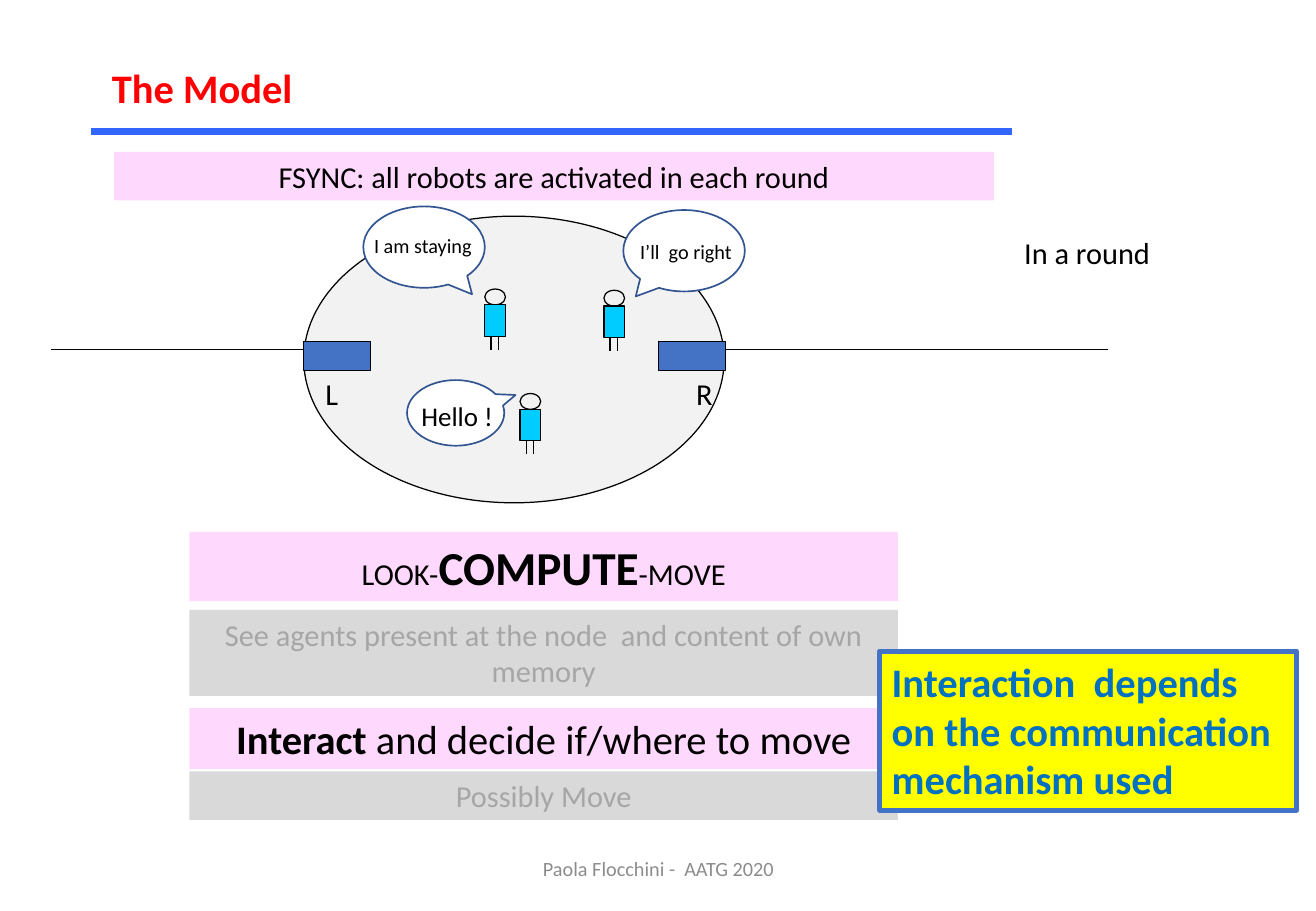
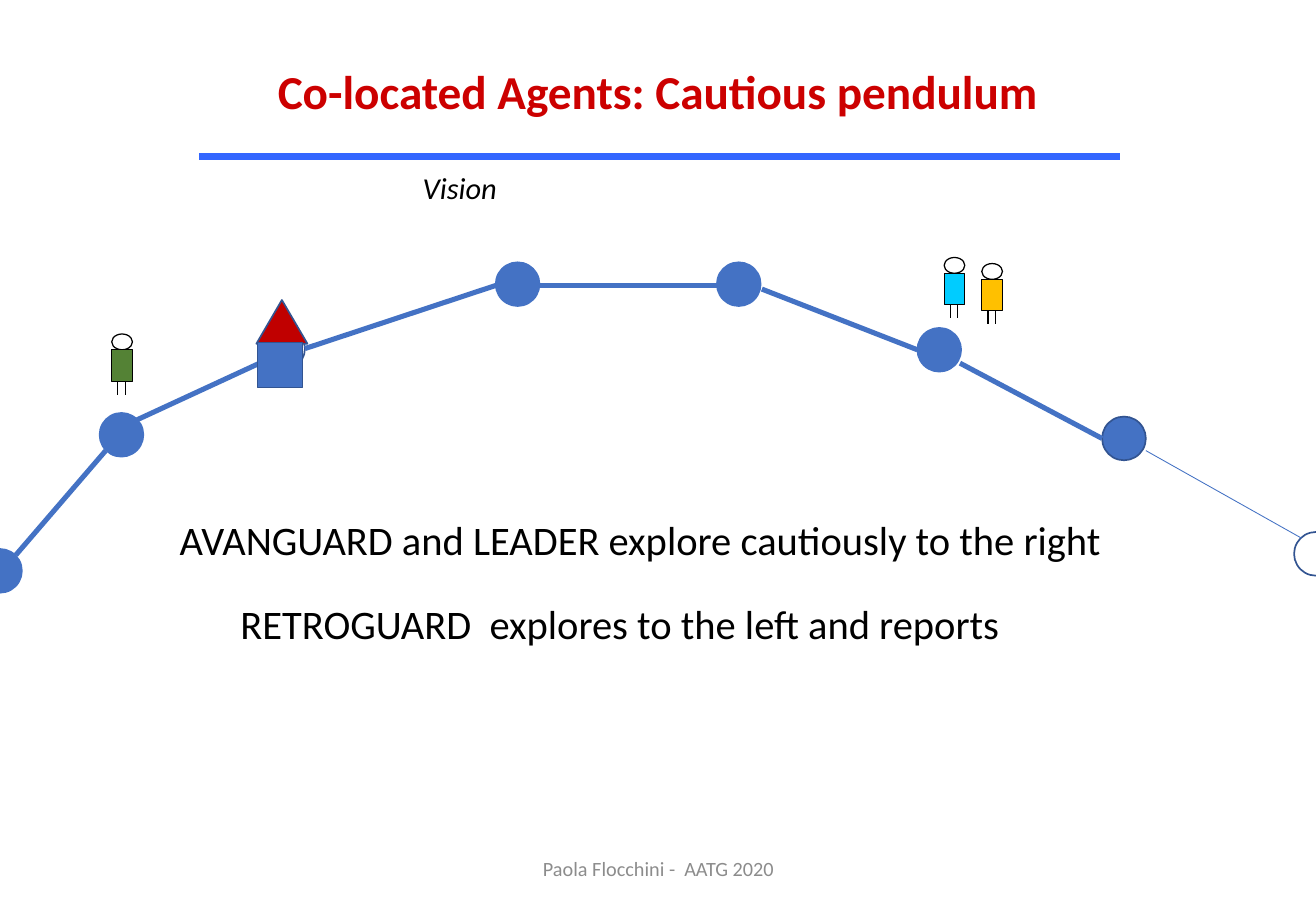
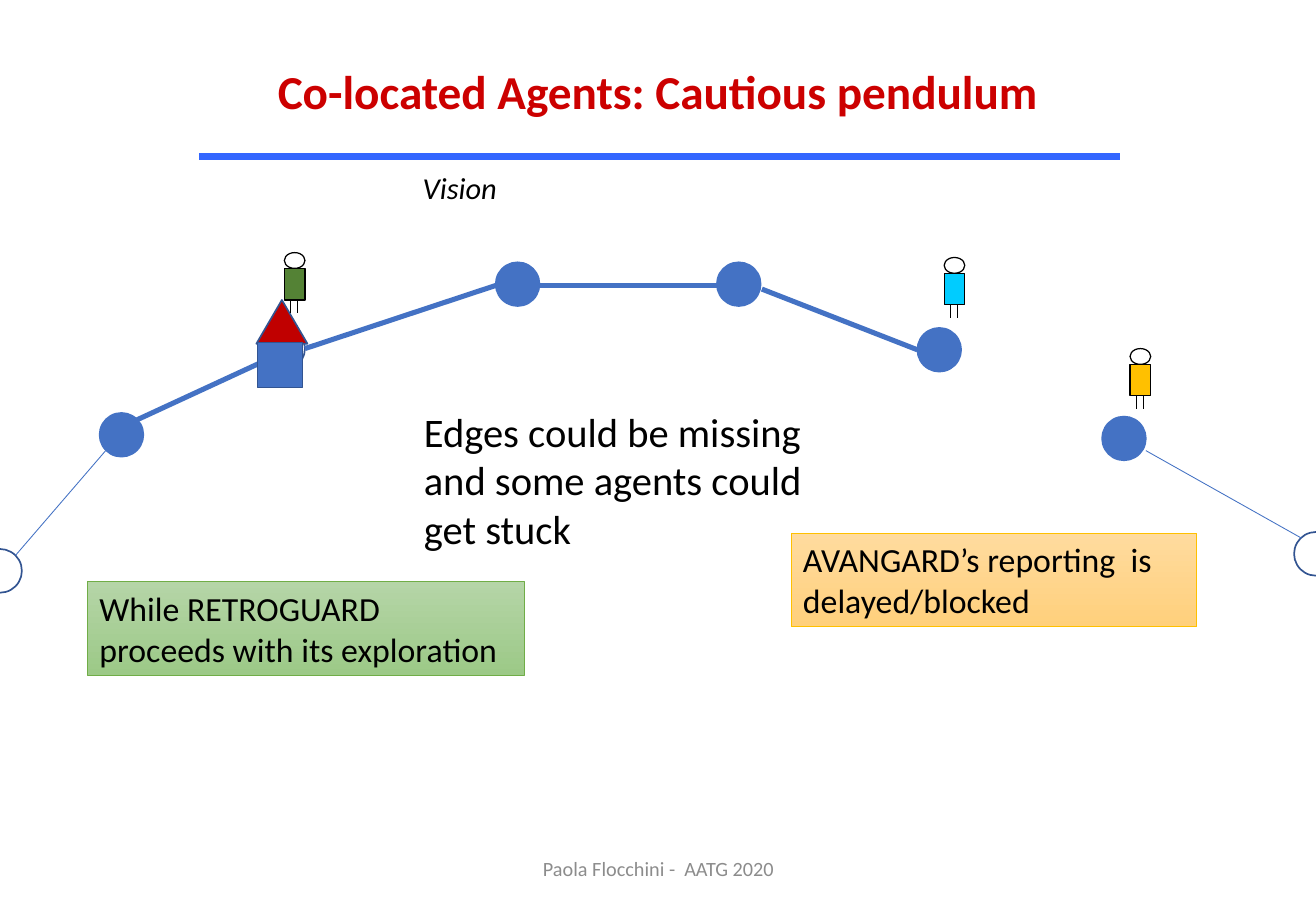
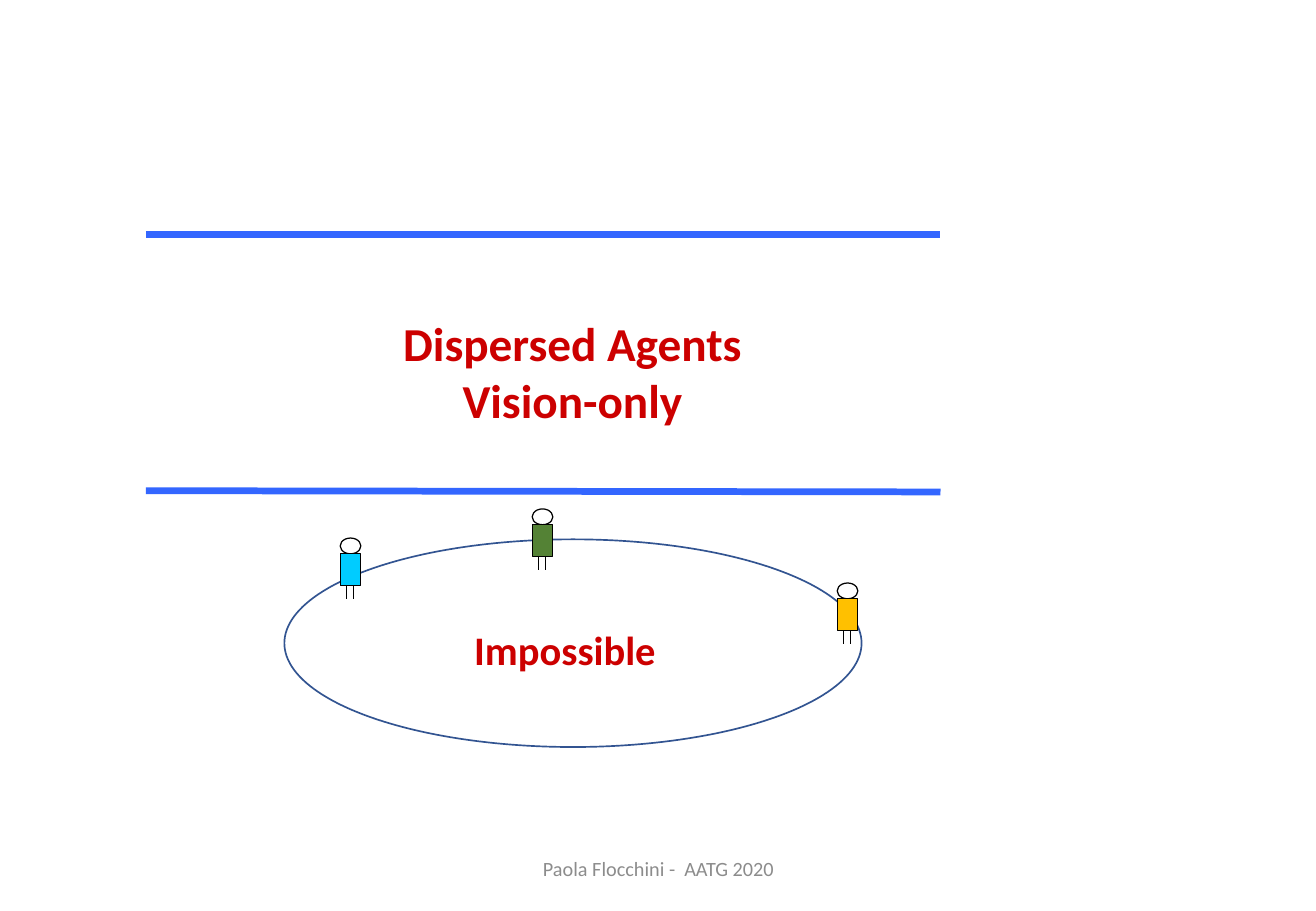
from copy import deepcopy
from lxml import etree
from pptx import Presentation
from pptx import util as u
from pptx.dml.color import RGBColor
from pptx.enum import shapes as s, text as t
from pptx.oxml.ns import qn

PX = 9144
FONT = "Calibri"
COLORS = {
    "black": "000000", "white": "FFFFFF", "blue": "4472C4", "navy": "325491",
    "rule": "3366FF", "red": "FF0000", "crimson": "CC0000", "roof": "C00000",
    "pink": "FFD8FE", "silver": "D9D9D9", "dim": "A6A6A6", "footer": "8C8C8C",
    "pale": "F2F2F2", "yellow": "FFFF00", "ocean": "0070C0", "cyan": "00CCFF",
    "green": "548235", "amber": "FFC000", "leaf": "70AD47",
    "peach": "FFDB9E", "apricot": "FFD07C", "mint": "B5D5A7", "moss": "9CC987",
}
RGB = {name: RGBColor.from_string(value) for name, value in COLORS.items()}
KIND = s.MSO_SHAPE
LEFT, CENTER = t.PP_ALIGN.LEFT, t.PP_ALIGN.CENTER


def block(parent, kind, box, fill=None, edge=None, width=1, words="", size=18,
          color="black", align=LEFT, bold=False, italic=False, wrap=True):
    place = [u.Emu(v * PX) for v in box]
    if kind is None:
        item = parent.add_textbox(*place)
    else:
        item = parent.add_shape(kind, *place)
        item.shadow.inherit = False
    if isinstance(fill, tuple):
        item.fill.gradient()
        item.fill.gradient_angle = 270
        for stop, shade in zip(item.fill.gradient_stops, fill):
            stop.color.rgb = RGB[shade]
    elif fill:
        item.fill.solid()
        item.fill.fore_color.rgb = RGB[fill]
    else:
        item.fill.background()
    if edge:
        item.line.color.rgb = RGB[edge]
        item.line.width = u.Pt(width)
    else:
        item.line.fill.background()
    if words:
        frame = item.text_frame
        frame.text = words
        frame.word_wrap = wrap
        frame.vertical_anchor = t.MSO_ANCHOR.TOP
        for paragraph in frame.paragraphs:
            paragraph.alignment = align
            paragraph.font.name = FONT
            paragraph.font.size = u.Pt(size)
            paragraph.font.bold = bold
            paragraph.font.italic = italic
            paragraph.font.color.rgb = RGB[color]
    return item


def stroke(parent, ends, color="black", width=0.75):
    item = parent.add_connector(s.MSO_CONNECTOR.STRAIGHT, *[u.Emu(v * PX) for v in ends])
    item.line.color.rgb = RGB[color]
    item.line.width = u.Pt(width)
    etree.SubElement(item._element.spPr, qn("a:effectLst"))


prs = Presentation()
prs.slide_width, prs.slide_height = u.Emu(1083 * PX), u.Emu(750 * PX)
layout = prs.slide_layouts[5]

footer = next(p for p in layout.placeholders
              if p.placeholder_format.type == s.PP_PLACEHOLDER.FOOTER)
footer.left, footer.top, footer.width, footer.height = [u.Emu(v * PX) for v in (359, 695, 366, 40)]
footer.text_frame.text = "Paola Flocchini -  AATG 2020"
footer.text_frame.vertical_anchor = t.MSO_ANCHOR.MIDDLE
credit = footer.text_frame.paragraphs[0]
credit.alignment = CENTER
credit.font.name = FONT
credit.font.size = u.Pt(12)
credit.font.color.rgb = RGB["footer"]

pendulum = ("Co-located Agents: Cautious pendulum", (214, 46, 654, 57), 28, "crimson", CENTER,
            [(164, 129, 922, 129)])
headings = [
    ("The Model", (82, 47, 170, 50), 24, "red", LEFT, [(75, 108, 833, 108)]),
    pendulum,
    pendulum,
    ("Dispersed Agents\nVision-only", (144, 254, 654, 104), 28, "crimson", CENTER,
     [(120, 193, 774, 193), (120, 404, 774, 405)]),
]
slides = []
for words, box, size, color, align, rules in headings:
    slide = prs.slides.add_slide(layout)
    title = slide.shapes.title
    title.left, title.top, title.width, title.height = [u.Emu(v * PX) for v in box]
    title.text_frame.text = words
    title.text_frame.auto_size = t.MSO_AUTO_SIZE.NONE
    title.text_frame.word_wrap = align == CENTER
    title.text_frame.vertical_anchor = t.MSO_ANCHOR.TOP
    for paragraph in title.text_frame.paragraphs:
        paragraph.alignment = align
        paragraph.font.name = FONT
        paragraph.font.size = u.Pt(size)
        paragraph.font.bold = True
        paragraph.font.color.rgb = RGB[color]
    slide.shapes._spTree.append(deepcopy(footer._element))
    for ends in rules:
        stroke(slide.shapes, ends, "rule", 4)
    slides.append(slide.shapes)
model, cautious, stuck, dispersed = slides

block(model, KIND.RECTANGLE, (94, 125, 724, 40), "pink", align=CENTER,
      words="FSYNC: all robots are activated in each round")
block(model, KIND.OVAL, (250, 178, 346, 236), "pale", "black", 0.75)
for ends in [(305, 288, 42, 288), (912, 288, 589, 288)]:
    stroke(model, ends)
for port_left in (250, 542):
    block(model, KIND.RECTANGLE, (port_left, 281, 55, 24), "blue", "black", 0.75)

steps = [
    (438, 57, "pink", "black", 18, [("LOOK-", 18, False), ("COMPUTE", 28, True), ("-MOVE", 18, False)]),
    (502, 71, "silver", "dim", 18, [("See agents present at the node  and content of own memory", 18, False)]),
    (583, 50, "pink", "black", 24, [("Interact", 24, True), (" and decide if/where to move", 24, False)]),
    (635, 40, "silver", "dim", 18, [("Possibly Move", 18, False)]),
]
for top, height, fill, color, size, parts in steps:
    step = block(model, KIND.RECTANGLE, (156, top, 583, height), fill, words=parts[0][0],
                 size=size, color=color, align=CENTER)
    phrase = step.text_frame.paragraphs[0]
    for words, part_size, bold in parts[1:]:
        phrase.add_run().text = words
    for run, (words, part_size, bold) in zip(phrase.runs, parts):
        if part_size != size:
            run.font.size = u.Pt(part_size)
        if bold:
            run.font.bold = True

block(model, KIND.RECTANGLE, (724, 536, 343, 131), "yellow", "blue", 3, size=24, color="ocean",
      bold=True, wrap=False,
      words="Interaction  depends\non the communication\nmechanism used")

bubbles = [
    ((513, 173, 100, 67), (-0.397, 0.56)),
    ((299, 170, 100, 67), (0.395, 0.579)),
    ((335, 313, 80, 54), (0.616, -0.273)),
]
for box, tip in bubbles:
    bubble = block(model, KIND.OVAL_CALLOUT, box, "white", "navy")
    bubble.adjustments[0], bubble.adjustments[1] = tip

labels = [
    ("In a round", (833, 188, 125, 40), 18),
    ("I am staying", (298, 187, 101, 30), 12),
    ("I’ll  go right", (517, 192, 96, 30), 12),
    ("Hello !", (337, 324, 80, 37), 16),
    ("L", (258, 304, 31, 40), 18),
    ("R", (563, 304, 34, 40), 18),
]
for words, box, size in labels:
    block(model, None, box, words=words, size=size, wrap=False)

NODE = 36
rings = [
    (cautious, "blue", "blue", 3, "navy", [(790, 299, 907, 361)]),
    (stuck, "white", "navy", 0.5, "blue", []),
]
for ring, left_fill, left_edge, left_width, right_edge, extra_edges in rings:
    nodes = [
        (215, 269, "white", "navy"), (-18, 452, left_fill, left_edge),
        (907, 343, "blue", right_edge), (1065, 438, "white", "navy"),
        (82, 340, "blue", "blue"), (755, 270, "blue", "blue"),
        (408, 216, "blue", "blue"), (590, 216, "blue", "blue"),
    ]
    for left, top, fill, edge in nodes:
        block(ring, KIND.OVAL, (left, top, NODE, NODE), fill, edge)
    thick_edges = [(627, 238, 755, 288), (443, 235, 590, 235),
                   (251, 287, 408, 235), (112, 346, 218, 297)]
    for ends in thick_edges + extra_edges:
        stroke(ring, ends, "blue", 3)
    stroke(ring, (943, 371, 1071, 443), "blue", 0.5)
    stroke(ring, (13, 457, 87, 371), "blue", left_width)
    block(ring, KIND.ISOSCELES_TRIANGLE, (211, 247, 42, 36), "roof", "navy")
    block(ring, KIND.RECTANGLE, (212, 282, 37, 37), "blue", "navy")
    block(ring, None, (338, 134, 542, 40), words="Vision", italic=True)

block(cautious, None, (138, 419, 784, 91), size=24,
      words="AVANGUARD and LEADER explore cautiously to the right")
block(cautious, None, (188, 488, 672, 91), size=24,
      words="RETROGUARD  explores to the left and reports")

block(stuck, None, (339, 330, 334, 131), size=24,
      words="Edges could be missing and some agents could get stuck")
block(stuck, KIND.RECTANGLE, (651, 439, 334, 77), ("peach", "apricot"), "amber", 0.5, size=20,
      words="AVANGARD’s reporting  is delayed/blocked")
block(stuck, KIND.RECTANGLE, (72, 479, 360, 77), ("mint", "moss"), "leaf", 0.5, size=20,
      words="While RETROGUARD proceeds with its exploration")

block(dispersed, KIND.OVAL, (234, 444, 475, 171), "white", "navy")
block(dispersed, None, (297, 510, 336, 50), words="Impossible", size=24,
      color="crimson", align=CENTER, bold=True)

robots = [
    (model, 399, 238, "cyan"), (model, 497, 239, "cyan"), (model, 428, 324, "cyan"),
    (cautious, 92, 275, "green"), (cautious, 777, 212, "cyan"), (cautious, 808, 217, "amber"),
    (stuck, 930, 287, "amber"), (stuck, 777, 212, "cyan"), (stuck, 234, 208, "green"),
    (dispersed, 689, 480, "amber"), (dispersed, 438, 419, "green"), (dispersed, 280, 443, "cyan"),
]
for scene, left, top, color in robots:
    robot = scene.add_group_shape().shapes
    block(robot, KIND.OVAL, (left, top, 17, 13), None, "black", 0.75)
    block(robot, KIND.RECTANGLE, (left, top + 13, 17, 26), color, "black", 0.75)
    for leg in (left + 5, left + 11):
        stroke(robot, (leg, top + 39, leg, top + 50))

prs.save("out.pptx")
